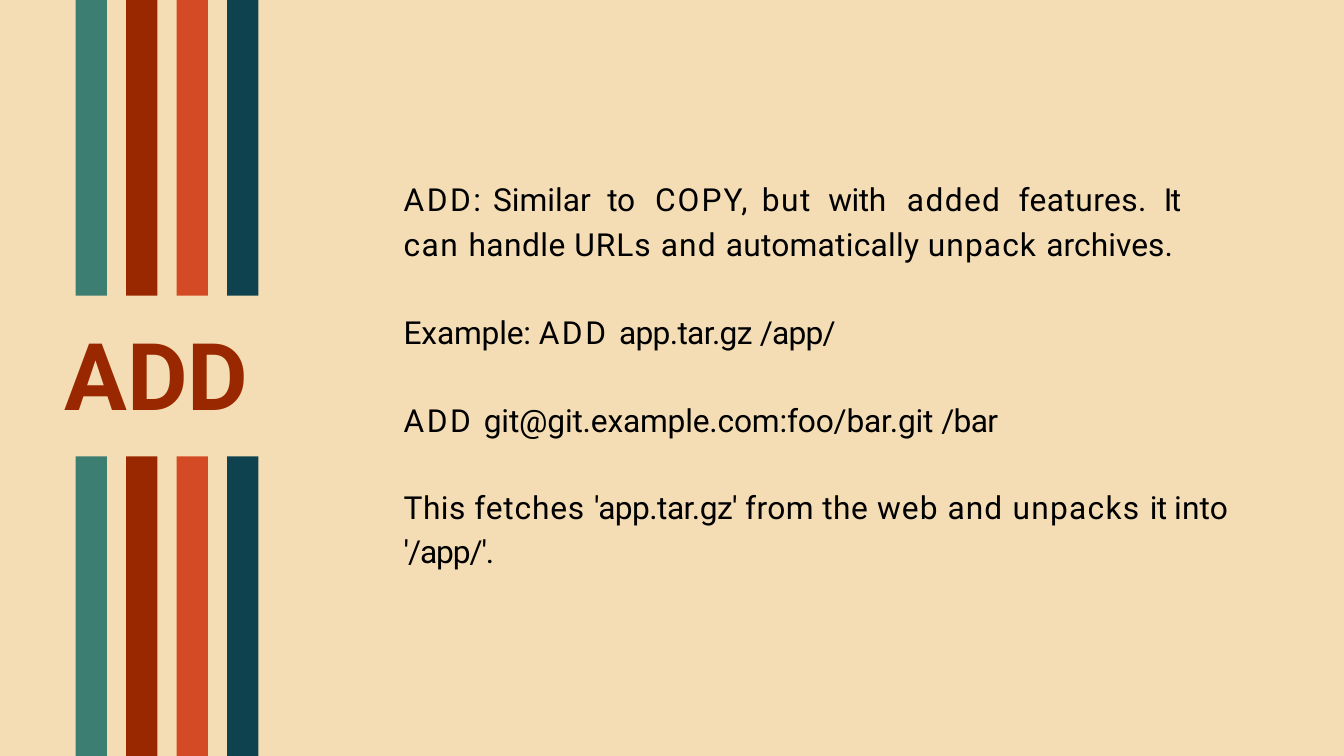
"""Build a slide that explains the ADD instruction beside retro stripes."""
import pptx
import pptx.dml.color
import pptx.enum.shapes
import pptx.enum.text
import pptx.oxml
import pptx.oxml.ns
import pptx.util

Cm = pptx.util.Cm
COLORS = {
    "sand": "F4DDB4",
    "green": "3C7E72",
    "rust": "992800",
    "orange": "D34A24",
    "navy": "0F424F",
    "black": "000000",
}


def color(name):
    return pptx.dml.color.RGBColor.from_string(COLORS[name])


def write(shape, runs, size=34, ink="black", bold=False, line_spacing=None, tabs=()):
    frame = shape.text_frame
    frame.word_wrap = True
    frame.auto_size = pptx.enum.text.MSO_AUTO_SIZE.SHAPE_TO_FIT_TEXT
    frame.vertical_anchor = pptx.enum.text.MSO_ANCHOR.TOP
    frame.margin_left = frame.margin_right = frame.margin_bottom = 0
    frame.margin_top = Cm(0.03)
    paragraph = frame.paragraphs[0]
    if tabs:
        properties = paragraph._p.get_or_add_pPr()
        tab_list = properties.makeelement(pptx.oxml.ns.qn("a:tabLst"), {})
        properties.append(tab_list)
        for position in tabs:
            tab = tab_list.makeelement(
                pptx.oxml.ns.qn("a:tab"), {"pos": str(Cm(position)), "algn": "l"}
            )
            tab_list.append(tab)
    paragraph.alignment = pptx.enum.text.PP_ALIGN.LEFT
    if line_spacing:
        paragraph.line_spacing = line_spacing
    for text, letter_spacing in runs:
        run = paragraph.add_run()
        run.text = text
        run.font.name = "Roboto"
        run.font.size = pptx.util.Pt(size)
        run.font.bold = bold
        run.font.color.rgb = color(ink)
        run._r.get_or_add_rPr().set("spc", str(round(letter_spacing * 100)))


presentation = pptx.Presentation()
presentation.slide_width = Cm(50.8)
presentation.slide_height = Cm(28.58)
slide = presentation.slides.add_slide(presentation.slide_layouts[5])
slide.background.fill.solid()
slide.background.fill.fore_color.rgb = color("sand")

for top, height in ((0, 11.18), (17.25, 11.33)):
    for index, name in enumerate(("green", "rust", "orange", "navy")):
        stripe = slide.shapes.add_shape(
            pptx.enum.shapes.MSO_SHAPE.RECTANGLE,
            Cm(2.86 + 1.91 * index), Cm(top), Cm(1.18), Cm(height),
        )
        stripe.shadow.inherit = False
        stripe.fill.solid()
        stripe.fill.fore_color.rgb = color(name)
        stripe.line.fill.background()

keyword = slide.shapes.add_textbox(Cm(2.44), Cm(11.96), Cm(7.77), Cm(4.29))
write(keyword, [("A", 0.2), ("DD", -1)], size=100, ink="rust", bold=True)

title = slide.shapes.title
title.left, title.top, title.width, title.height = Cm(15.26), Cm(6.55), Cm(32.16), Cm(3.4)
write(
    title,
    [
        ("ADD:\t", 2.7), ("Similar\t", 0), ("to\t", -0.3), ("COPY,\t", 2.2),
        ("but\t", 1.6), ("with\t", -0.5), ("added\t", 1.5), ("features.\t", 0.5),
        ("It\t", -1.6), ("can ", 1.5), ("handle ", 0.5), ("URLs ", 1.1),
        ("and ", 1.2), ("automatically ", 0.3), ("unpack ", 1.2), ("archives.", 0.1),
    ],
    line_spacing=1.16,
    tabs=(3.38, 7.7, 9.5, 13.54, 16.05, 19.02, 23.24, 28.73),
)

details = [
    (11.8, 16.94, 1.52, None,
     [("Example: ", -0.2), ("ADD ", 2.7), ("app.tar.gz ", -0.7), ("/app/", -0.8)]),
    (15.13, 23.24, 1.52, None,
     [("ADD ", 2.7), ("git@git.example.com:foo/bar.git ", -0.2), ("/bar", -0.7)]),
    (18.19, 32.16, 3.4, 1.16,
     [("This ", 0.5), ("fetches ", 0.9), ("'app.tar.gz' ", -0.6), ("from the ", 0.5),
      ("web and ", 1.2), ("unpacks ", 1.4), ("it ", -0.9), ("into ", 0.2),
      ("'/app/'.", -1.2)]),
]
for top, width, height, line_spacing, runs in details:
    detail = slide.shapes.add_textbox(Cm(15.26), Cm(top), Cm(width), Cm(height))
    write(detail, runs, line_spacing=line_spacing)

presentation.save("out.pptx")
